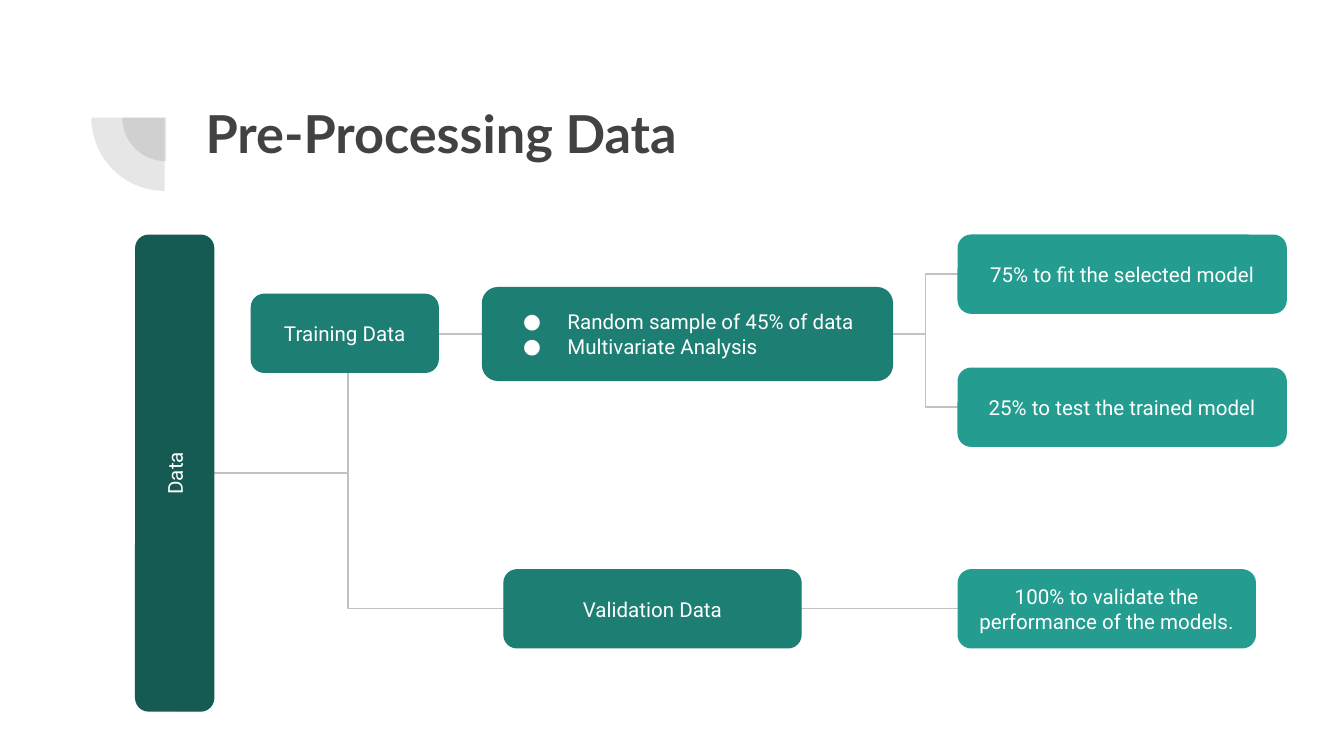
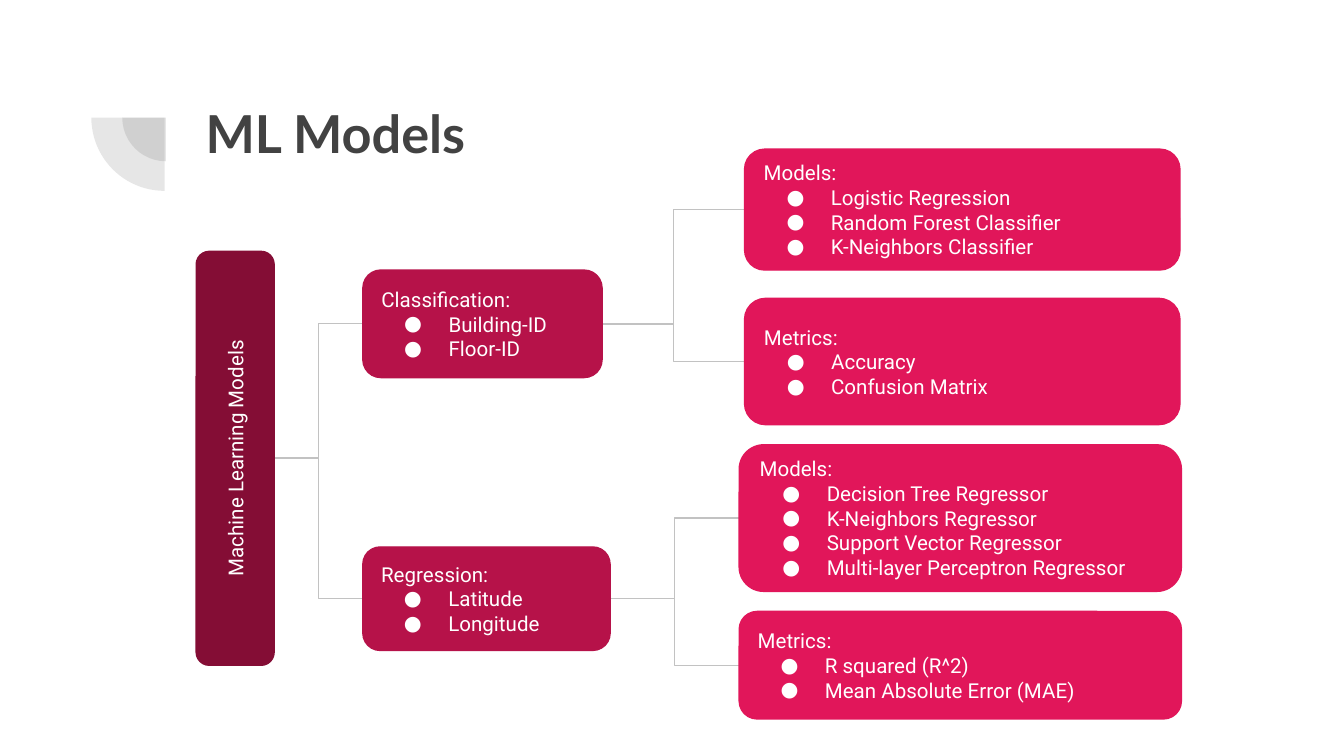
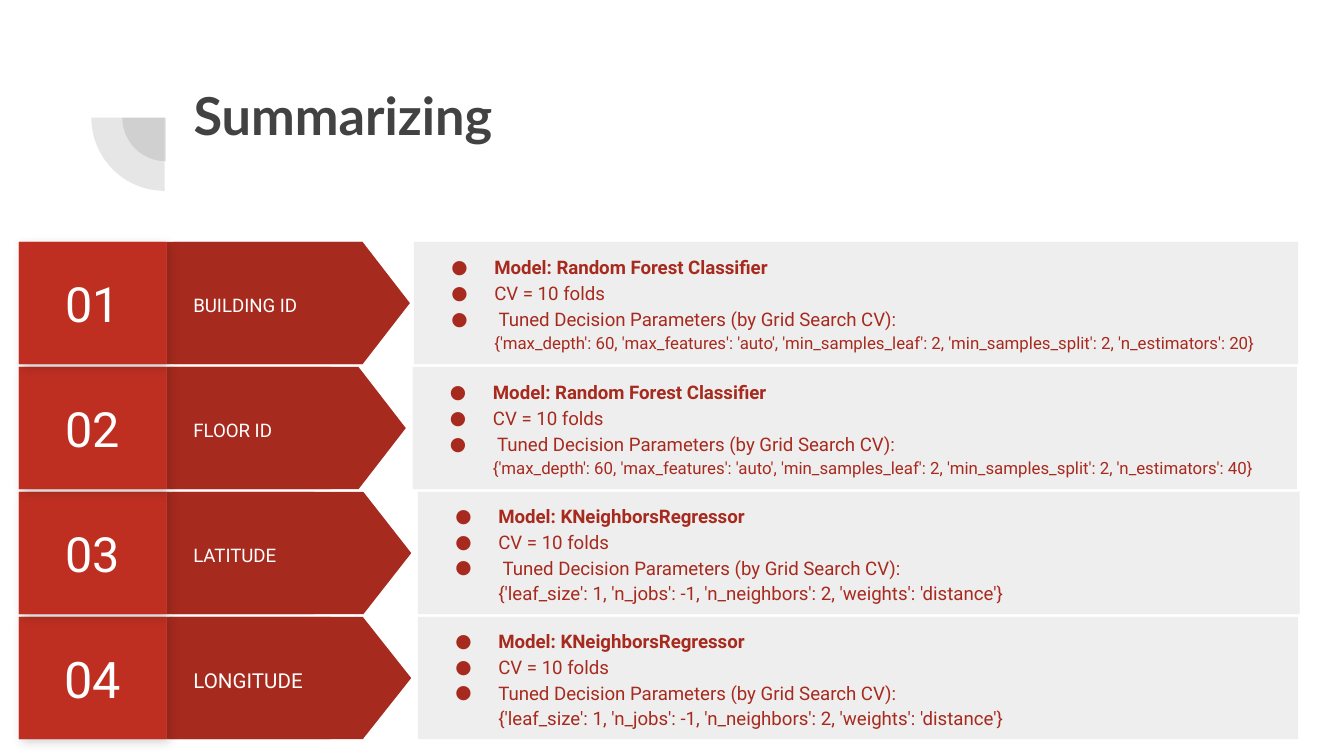
"""Build three slides: two tree diagrams and a summary of tuned models."""
import copy

import pptx
import pptx.dml.color
import pptx.enum.shapes
import pptx.enum.text
import pptx.oxml.ns
import pptx.util
from lxml import etree

Inches = pptx.util.Inches
Pt = pptx.util.Pt
qn = pptx.oxml.ns.qn
SHAPE = pptx.enum.shapes.MSO_SHAPE
ALIGN = pptx.enum.text.PP_ALIGN
ANCHOR = pptx.enum.text.MSO_ANCHOR

PAGE_WIDTH = 10
PAGE_HEIGHT = PAGE_WIDTH * 9 / 16
INK, WHITE, WIRE = "424242", "FFFFFF", "C2C2C2"
PANEL, NUMBER, NUMBER_BACK, TAG = "EEEEEE", "BE2F22", "B02C20", "A72A1E"
CORNER_PIES = [(0.91, 0.55, 0.65), (0.68, 0.33, 1.09)]

TREES = [
    {
        "title": "Pre-Processing Data",
        "colors": ["155B54", "1D7E74", "249C90"],
        "boxes": {
            "data": (0, (1.01, 1.75, 0.58, 3.54), "Data", []),
            "sample": (1, (3.59, 2.14, 3.05, 0.69), "",
                       ["Random sample of 45% of data", "Multivariate Analysis"]),
            "validation": (1, (3.75, 4.24, 2.21, 0.58), "Validation Data", []),
            "fit": (2, (7.13, 1.75, 2.44, 0.58), "75% to fit the selected model", []),
            "test": (2, (7.13, 2.74, 2.44, 0.58), "25% to test the trained model", []),
            "validate": (2, (7.13, 4.24, 2.21, 0.58),
                         "100% to validate the performance of the models.", []),
            "training": (1, (1.87, 2.19, 1.39, 0.58), "Training Data", []),
        },
        "links": [("data", "validation", 2.59), ("data", "sample", 2.59),
                  ("sample", "fit", None), ("sample", "test", None),
                  ("validation", "validate", None)],
    },
    {
        "title": "ML Models",
        "colors": ["840D35", "B61249", "E1165A"],
        "boxes": {
            "models": (0, (1.46, 1.87, 0.58, 3.08), "Machine Learning Models", []),
            "classes": (1, (2.7, 2.01, 1.78, 0.8), "Classification:",
                        ["Building-ID", "Floor-ID"]),
            "regression": (1, (2.7, 4.07, 1.84, 0.77), "Regression:",
                           ["Latitude", "Longitude"]),
            "classifiers": (2, (5.54, 1.11, 3.24, 0.9), "Models:",
                            ["Logistic Regression", "Random Forest Classifier",
                             "K-Neighbors Classifier"]),
            "class metrics": (2, (5.54, 2.22, 3.24, 0.94), "Metrics:",
                              ["Accuracy", "Confusion Matrix"]),
            "regressors": (2, (5.5, 3.31, 3.29, 1.09), "Models:",
                           ["Decision Tree Regressor", "K-Neighbors Regressor",
                            "Support Vector Regressor",
                            "Multi-layer Perceptron Regressor"]),
            "errors": (2, (5.5, 4.55, 3.29, 0.8), "Metrics:",
                       ["R squared (R^2)", "Mean Absolute Error (MAE)"]),
        },
        "links": [("models", "regression", None), ("models", "classes", None),
                  ("classes", "classifiers", None), ("classes", "class metrics", None),
                  ("regression", "regressors", None), ("regression", "errors", None)],
    },
]

FOREST = ("{{'max_depth': 60, 'max_features': 'auto', 'min_samples_leaf': 2, "
          "'min_samples_split': 2, 'n_estimators': {}}}")
NEIGHBORS = "{'leaf_size': 1, 'n_jobs': -1, 'n_neighbors': 2, 'weights': 'distance'}"
TUNED = "Tuned Decision Parameters (by Grid Search CV): "
SUMMARY = [
    {"label": "BUILDING ID", "label_size": 10, "label_width": 1.18, "number_size": 26,
     "tag_width": 1.46, "arrow": (1.29, 1.76), "panel": (3.08, 6.58), "text_width": 6.58,
     "model": "Model: Random Forest Classifier ", "tuned": " " + TUNED,
     "parameters": FOREST.format(20), "parameter_size": 9},
    {"label": "FLOOR ID", "label_size": 10, "label_width": 1.55, "number_size": 26,
     "tag_width": 1.22, "arrow": (1.26, 1.76), "panel": (3.07, 6.58), "text_width": 6.74,
     "model": "Model: Random Forest Classifier", "tuned": " " + TUNED,
     "parameters": FOREST.format(40), "parameter_size": 9},
    {"label": "LATITUDE", "label_size": 10, "label_width": 1.1, "number_size": 26,
     "tag_width": 1.1, "arrow": (1.28, 1.78), "panel": (3.11, 6.56), "text_width": 5.81,
     "model": "Model: KNeighborsRegressor", "tuned": " " + TUNED,
     "parameters": NEIGHBORS, "parameter_size": 10},
    {"label": "LONGITUDE", "label_size": 11, "label_width": 1.58, "number_size": 27,
     "tag_width": 1.22, "arrow": (1.26, 1.8), "panel": (3.11, 6.55), "text_width": 5.81,
     "model": "Model: KNeighborsRegressor", "tuned": TUNED,
     "parameters": NEIGHBORS, "parameter_size": 10},
]
ROW_TOP, ROW_STEP, ROW_HEIGHT = 1.8, 0.93, 0.91
NUMBER_LEFT, NUMBER_WIDTH = 0.14, 1.1


def rgb(color):
    """Turn a hex string into a colour."""
    return pptx.dml.color.RGBColor.from_string(color)


def add_box(shapes, kind, place, color, outlined=False, turned=False):
    """Add a filled shape; a turned one fills its place after a 270 degree turn."""
    left, top, width, height = place
    if turned:
        left, top = left + (width - height) / 2, top + (height - width) / 2
        width, height = height, width
    box = shapes.add_shape(kind, *map(Inches, (left, top, width, height)))
    box.rotation = 270 if turned else 0
    box.shadow.inherit = False
    box.fill.solid()
    box.fill.fore_color.rgb = rgb(color)
    if outlined:
        box.line.color.rgb = rgb(color)
        box.line.width = Pt(0.75)
    else:
        box.line.fill.background()
    return box


def set_frame(box, anchor=ANCHOR.MIDDLE):
    """Give a box even insets, wrapping and an anchor."""
    frame = box.text_frame
    frame.word_wrap = True
    frame.auto_size = pptx.enum.text.MSO_AUTO_SIZE.NONE
    frame.vertical_anchor = anchor
    frame.margin_left = frame.margin_right = Inches(0.1)
    frame.margin_top = frame.margin_bottom = Inches(0.1)


def add_bullet(para, color, size, indent, font):
    """Hang a round bullet in front of a paragraph."""
    props = para._p.get_or_add_pPr()
    props.set("marL", str(Inches(0.5)))
    props.set("indent", str(-Inches(indent)))
    tint = etree.SubElement(props, qn("a:buClr"))
    etree.SubElement(tint, qn("a:srgbClr"), val=color)
    etree.SubElement(props, qn("a:buSzPts"), val=str(size * 100))
    etree.SubElement(props, qn("a:buFont"), typeface=font)
    etree.SubElement(props, qn("a:buChar"), char="●")


def add_para(box, lines, color, align=ALIGN.LEFT, indent=None, spacing=None,
             bold=False, font="Roboto"):
    """Add a paragraph of (text, size) lines, bulleted when it has an indent."""
    frame = box.text_frame
    para = frame.add_paragraph() if frame.text else frame.paragraphs[0]
    para.alignment = align
    if spacing:
        para.line_spacing = spacing
    if indent:
        add_bullet(para, color, lines[0][1], indent, font)
    for index, (text, size) in enumerate(lines):
        if index:
            para.add_line_break()
            para._p[-1].append(copy.deepcopy(span.font._element))
        span = para.add_run()
        span.text = text
        span.font.name = font
        span.font.size = Pt(size)
        span.font.bold = bold
        span.font.color.rgb = rgb(color)


def add_text(shapes, place):
    """Add an empty text box."""
    box = shapes.add_textbox(*map(Inches, place))
    set_frame(box)
    return box


def add_page(deck, title, left=1.43, top=0.65):
    """Add a slide with its title."""
    page = deck.slides.add_slide(deck.slide_layouts[5])
    box = page.shapes.title
    box.left, box.top, box.width, box.height = map(Inches, (left, top, 7.69, 1.09))
    set_frame(box, ANCHOR.TOP)
    add_para(box, [(title, 28)], INK, bold=True, font="Lato")
    return page


def move_pies_to_layout(page):
    """Put the corner decoration on the layout that all slides share."""
    for left, top, size in CORNER_PIES:
        pie = add_box(page.shapes, SHAPE.PIE, (left, top, size, size), INK, turned=True)
        pie.adjustments[0], pie.adjustments[1] = 108, 162
        tint = pie.element.spPr.find(qn("a:solidFill"))[0]
        etree.SubElement(tint, qn("a:alpha"), val="13000")
        page.slide_layout.shapes.element.append(pie.element)


def add_link(page, start, end, bend):
    """Join the right side of one place to the left side of another."""
    left, top, width, height = start
    begin_x, begin_y = left + width, top + height / 2
    end_x, end_y = end[0], end[1] + end[3] / 2
    link = page.shapes.add_connector(
        pptx.enum.shapes.MSO_CONNECTOR.ELBOW,
        *map(Inches, (begin_x, begin_y, end_x, end_y)))
    link.line.color.rgb = rgb(WIRE)
    link.line.width = Pt(0.75)
    props = link.element.spPr
    etree.SubElement(props, qn("a:effectLst"))
    if bend:
        ratio = (bend - begin_x) / (end_x - begin_x)
        guides = props.find(qn("a:prstGeom")).find(qn("a:avLst"))
        etree.SubElement(guides, qn("a:gd"), name="adj1", fmla=f"val {round(ratio * 100000)}")


def draw_tree(page, tree):
    """Draw the links of a tree and then its boxes."""
    boxes = tree["boxes"]
    for start, end, bend in tree["links"]:
        add_link(page, boxes[start][1], boxes[end][1], bend)
    for level, place, heading, items in boxes.values():
        box = add_box(page.shapes, SHAPE.ROUNDED_RECTANGLE, place, tree["colors"][level],
                      outlined=True, turned=level == 0)
        set_frame(box)
        if heading:
            add_para(box, [(heading, 11)], WHITE, ALIGN.LEFT if items else ALIGN.CENTER)
        for item in items:
            add_para(box, [(item, 11)], WHITE, indent=0.33)


def add_shadow(box):
    """Cast a soft shadow to the lower right."""
    effects = box.element.spPr.find(qn("a:effectLst"))
    shadow = etree.SubElement(effects, qn("a:outerShdw"), blurRad=str(Pt(5.6)),
                              dist=str(Pt(2.2)), dir="2700000", algn="tl", rotWithShape="0")
    tint = etree.SubElement(shadow, qn("a:srgbClr"), val="000000")
    etree.SubElement(tint, qn("a:alpha"), val="17000")


def draw_row(page, index, row):
    """Draw one numbered row of the summary."""
    shapes = page.shapes.add_group_shape().shapes
    top = ROW_TOP + index * ROW_STEP
    tag_left = NUMBER_LEFT + NUMBER_WIDTH
    panel_left, panel_width = row["panel"]
    arrow_left, arrow_width = row["arrow"]
    number_place = (NUMBER_LEFT, top, NUMBER_WIDTH, ROW_HEIGHT)

    add_box(shapes, SHAPE.RECTANGLE, (panel_left, top, panel_width, ROW_HEIGHT), PANEL)
    add_box(shapes, SHAPE.RECTANGLE, (tag_left, top, row["tag_width"], ROW_HEIGHT), TAG)
    add_box(shapes, SHAPE.FLOWCHART_OFFPAGE_CONNECTOR,
            (arrow_left, top, arrow_width, ROW_HEIGHT), TAG, turned=True)
    label = add_text(shapes, (tag_left + 0.1, top + 0.11, row["label_width"], 0.7))
    add_para(label, [(row["label"], row["label_size"])], WHITE, spacing=1.15)
    add_shadow(add_box(shapes, SHAPE.RECTANGLE, number_place, NUMBER_BACK))
    number = add_box(shapes, SHAPE.RECTANGLE, number_place, NUMBER)
    set_frame(number)
    add_para(number, [(f"{index + 1:02}", row["number_size"])], WHITE, ALIGN.CENTER)

    details = add_text(shapes, (panel_left, top, row["text_width"], ROW_HEIGHT))
    style = {"color": TAG, "indent": 0.32, "spacing": 1.15}
    add_para(details, [(row["model"], 10)], align=ALIGN.JUSTIFY, bold=True, **style)
    add_para(details, [("CV = 10 folds", 10)], **style)
    add_para(details, [(row["tuned"], 10), (row["parameters"], row["parameter_size"])], **style)


def main():
    """Build and save the deck."""
    deck = pptx.Presentation()
    deck.slide_width, deck.slide_height = Inches(PAGE_WIDTH), Inches(PAGE_HEIGHT)
    for tree in TREES:
        draw_tree(add_page(deck, tree["title"]), tree)
    page = add_page(deck, "Summarizing", 1.34, 0.52)
    for index, row in reversed(list(enumerate(SUMMARY))):
        draw_row(page, index, row)
    move_pies_to_layout(page)
    deck.save("out.pptx")


if __name__ == "__main__":
    main()
